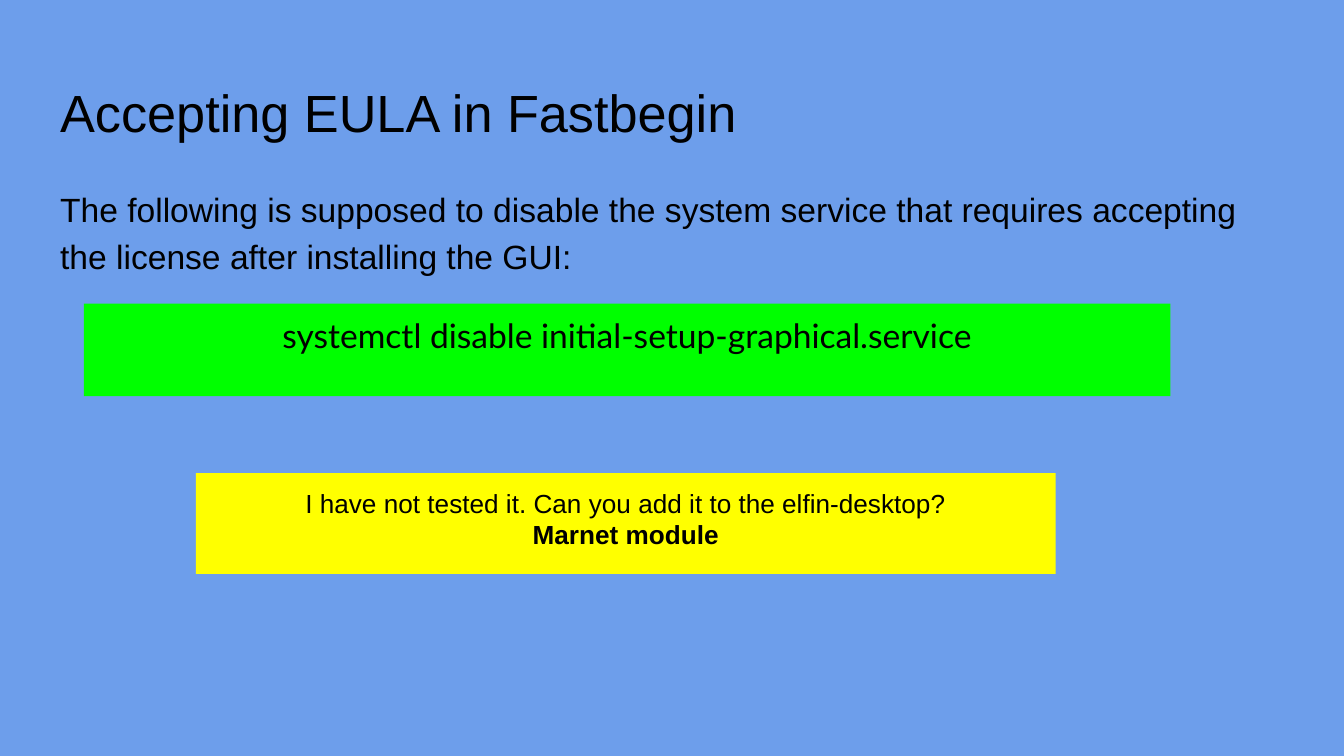
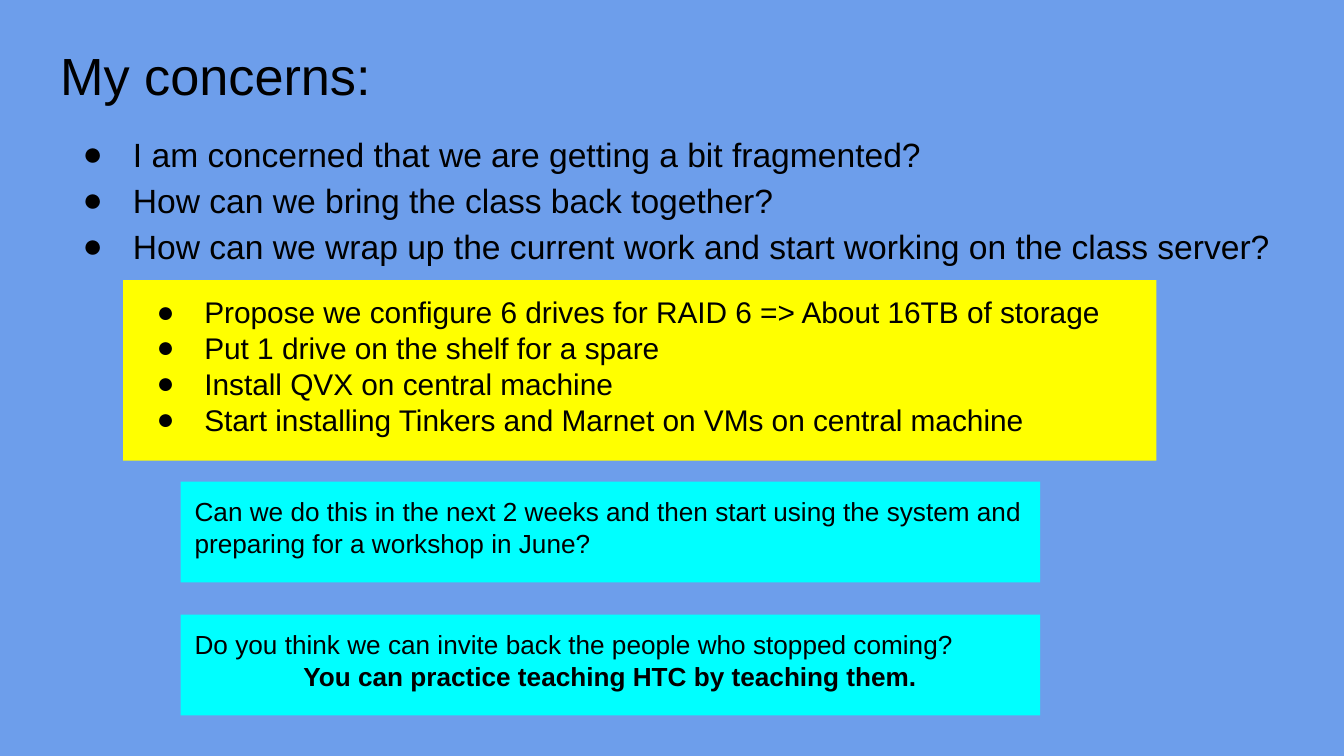
from lxml.etree import SubElement
from pptx import Presentation
from pptx.dml.color import RGBColor
from pptx.enum.shapes import MSO_SHAPE as Shape
from pptx.enum.text import MSO_ANCHOR as Anchor, MSO_AUTO_SIZE as AutoSize, PP_ALIGN as Align
from pptx.oxml.ns import qn
from pptx.util import Pt

PX = 9525  # 96 px to the inch
INSET = 10 * PX
COLORS = {"back": "6D9EEB", "text": "000000", "command": "00FF00",
          "note": "FFFF00", "question": "00FFFF"}


def write_text(frame, lines, size, font="Arial", align=Align.LEFT, spacing=1.0, hanging=0):
    """Fill a frame with paragraphs; a hanging indent in px turns on bullets."""
    frame.word_wrap = True
    frame.auto_size = AutoSize.NONE
    frame.vertical_anchor = Anchor.TOP
    frame.margin_left = frame.margin_right = INSET
    frame.margin_top = frame.margin_bottom = INSET
    frame.text = "\n".join(lines)
    for paragraph in frame.paragraphs:
        paragraph.alignment = align
        paragraph.line_spacing = spacing
        for run in paragraph.runs:
            run.font.name = font
            run.font.size = Pt(size)
            run.font.color.rgb = RGBColor.from_string(COLORS["text"])
        if hanging:
            props = paragraph._p.get_or_add_pPr()
            props.set("marL", str(48 * PX))
            props.set("indent", str(-hanging * PX))
            bullet_color = SubElement(props, qn("a:buClr"))
            SubElement(bullet_color, qn("a:srgbClr"), val=COLORS["text"])
            SubElement(props, qn("a:buFont"), typeface=font)
            SubElement(props, qn("a:buChar"), char="●")


def add_panel(slide, box, color, lines, size, **style):
    """Add a filled rectangle with text and return its text frame."""
    panel = slide.shapes.add_shape(Shape.RECTANGLE, *[n * PX for n in box])
    panel.shadow.inherit = False
    panel.fill.solid()
    panel.fill.fore_color.rgb = RGBColor.from_string(COLORS[color])
    panel.line.fill.background()
    write_text(panel.text_frame, lines, size, **style)
    return panel.text_frame


deck = Presentation()
deck.slide_width, deck.slide_height = 960 * PX, 540 * PX

# Title, body and background of both slides
pages = [
    ("Accepting EULA in Fastbegin", 47, (33, 121, 895, 82), 0,
     ["The following is supposed to disable the system service that requires "
      "accepting the license after installing the GUI:"]),
    ("My concerns:", 21, (37, 81, 895, 150), 36,
     ["I am concerned that we are getting a bit fragmented?",
      "How can we bring the class back together?",
      "How can we wrap up the current work and start working on the class server?"]),
]
for heading, heading_top, body_box, hanging, body_lines in pages:
    slide = deck.slides.add_slide(deck.slide_layouts[5])
    slide.background.fill.solid()
    slide.background.fill.fore_color.rgb = RGBColor.from_string(COLORS["back"])
    title = slide.shapes.title
    title.left, title.top, title.width, title.height = [
        n * PX for n in (33, heading_top, 895, 60)]
    write_text(title.text_frame, [heading], 28)
    body = slide.shapes.add_textbox(*[n * PX for n in body_box])
    write_text(body.text_frame, body_lines, 18, spacing=1.15, hanging=hanging)

eula, concerns = deck.slides

# Command and the remark below it
command = add_panel(eula, (60, 217, 776, 66), "command",
                    ["systemctl disable initial-setup-graphical.service"], 18,
                    font="Lato", align=Align.CENTER)
command.margin_top = 8 * PX
remark = add_panel(eula, (140, 338, 614, 72), "note",
                   ["I have not tested it. Can you add it to the elfin-desktop?",
                    "Marnet module"], 14, align=Align.CENTER)
remark.paragraphs[1].runs[0].font.bold = True

# Proposed work
add_panel(concerns, (88, 200, 738, 129), "note",
          ["Propose we configure 6 drives for RAID 6 => About 16TB of storage",
           "Put 1 drive on the shelf for a spare",
           "Install QVX on central machine",
           "Start installing Tinkers and Marnet on VMs on central machine"],
          16, hanging=34)

# Questions to the class
questions = [
    ["Can we do this in the next 2 weeks and then start using the system and "
     "preparing for a workshop in June?"],
    ["Do you think we can invite back the people who stopped coming?",
     "You can practice teaching HTC by teaching them."],
]
for row, lines in enumerate(questions):
    question = add_panel(concerns, (129, 344 + 95 * row, 614, 72), "question", lines, 14)
    for advice in question.paragraphs[1:]:
        advice.alignment = Align.CENTER
        advice.runs[0].font.bold = True

deck.save("out.pptx")
